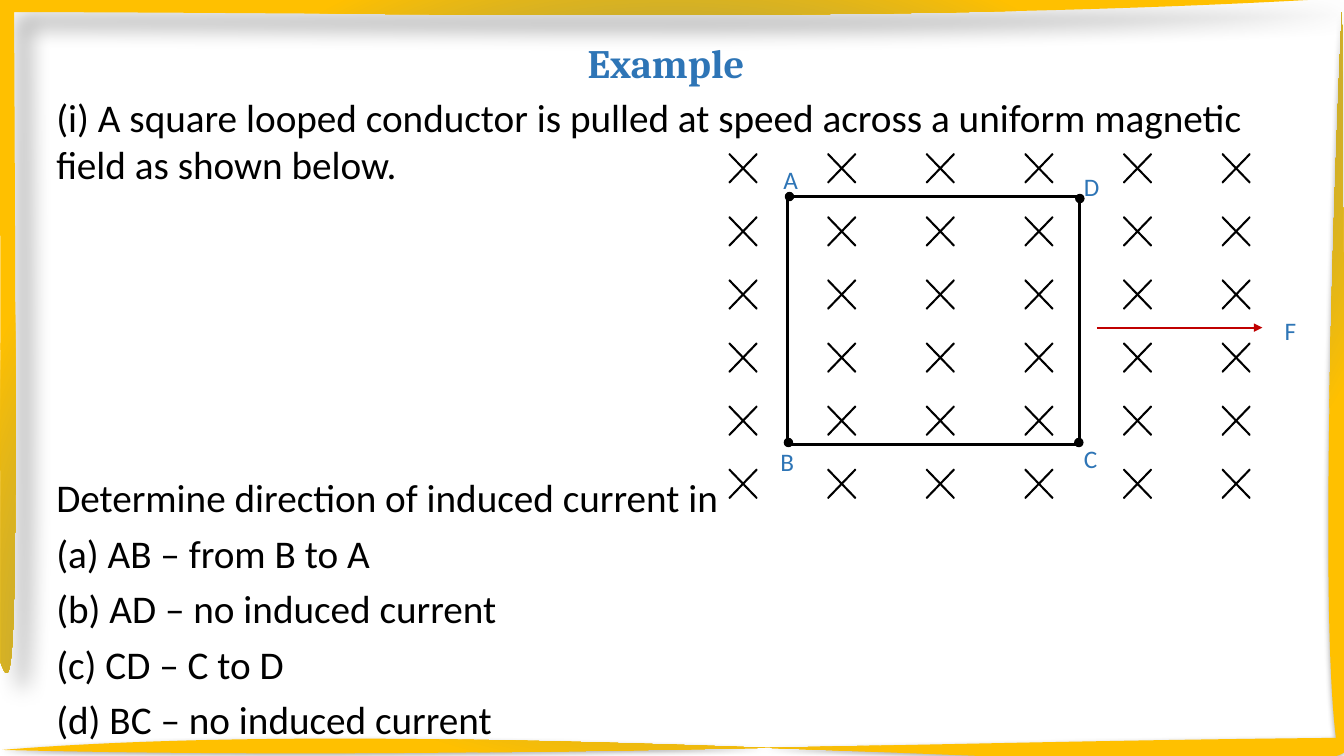
from dataclasses import dataclass
from lxml.etree import SubElement
from pptx import Presentation
from pptx.dml.color import RGBColor
from pptx.enum.shapes import MSO_CONNECTOR as Link, MSO_SHAPE as Preset
from pptx.enum.text import MSO_ANCHOR as Anchor, MSO_AUTO_SIZE as Fit, PP_ALIGN as Align
from pptx.oxml.ns import qn
from pptx.util import Inches, Pt


@dataclass(frozen=True)
class Theme:
    black: str = "000000"
    blue: str = "2E75B6"
    red: str = "C00000"
    frame: tuple = ((0, "A9D18E"), (46, "2E75B6"), (100, "FFC000"))
    heading: str = "Cambria"
    body: str = "Calibri"
    title_size: float = 28.8
    body_size: float = 28
    label_size: float = 18


THEME = Theme()

# Content
TITLE = "Example"
QUESTION = "(i) A square looped conductor is pulled at speed across a uniform magnetic field as shown below."
ANSWERS = [
    "Determine direction of induced current in",
    "(a) AB – from B to A",
    "(b) AD – no induced current",
    "(c) CD – C to D",
    "(d) BC – no induced current",
]
FIGURE_GAP = 5 * 39.6  # five body lines left free beside the figure

# Frame strokes: start point, then line (one point) or curve (three points) steps
FRAME = [
    dict(start=(0.01, 6.58), size=(13.33, 6.7),
         steps=[[(0.16, 7.01), (0.17, 6.24), (0.14, 0.12)],
                [(4.62, 0.13), (9.1, 0.23), (13.33, -0.02)],
                [(0, -0.02)],
                [(0, 2.18), (0.01, 4.38), (0.01, 6.58)]],
         focus=(130, -30), shadow=dict(alpha=30, blur=15, dist=18, angle=45)),
    dict(start=(13.35, 7.44), size=(13.33, 7.45),
         steps=[[(13.21, 7.87), (4.92, 7.04), (0.02, 7.44)],
                [(4.55, 7.55), (8.84, 7.36), (13.25, 7.32)],
                [(13.05, 5.71), (13.31, 0.05), (13.31, 0.12)],
                [(13.31, 0.18), (13.35, 7.38), (13.35, 7.44)]],
         focus=(-80, 180), shadow=dict(alpha=32, blur=3.5, dist=2.2, angle=90)),
]

# Figure: field grid, loop, corners and force
COLUMNS = ROWS = 6
FIELD_FIRST, FIELD_LAST = (7.11, 1.4), (12, 4.53)
CROSS = (0.52, 0.54)
LOOP = (7.81, 1.95, 2.9, 2.46)
DOT = 0.08
DOTS = [(7.78, 4.35), (7.79, 1.91), (10.66, 4.35), (10.67, 1.93)]
LABELS = {"A": (7.77, 1.63), "B": (7.74, 4.43), "C": (10.75, 4.4),
          "D": (10.75, 1.7), "F": (12.74, 3.13)}
FORCE = (10.88, 3.25, 12.52, 3.25)


def add_text(shapes, place, lines, *, size, color, font, bold=False, align=Align.LEFT,
             anchor=Anchor.TOP, inset=None, fit=Fit.NONE, spacing=None, after=0, gaps=None):
    box = shapes.add_textbox(*map(Inches, place))
    frame = box.text_frame
    frame.word_wrap, frame.auto_size, frame.vertical_anchor = True, fit, anchor
    if inset is not None:
        frame.margin_left = frame.margin_right = frame.margin_top = frame.margin_bottom = Inches(inset)
    for index, line in enumerate(lines):
        para = frame.paragraphs[0] if index == 0 else frame.add_paragraph()
        para.alignment, para.line_spacing = align, spacing
        para.space_after = Pt(after)
        para.space_before = Pt((gaps or {}).get(index, 0))
        span = para.add_run()
        span.text = line
        span.font.size, span.font.name, span.font.bold = Pt(size), font, bold
        span.font.color.rgb = RGBColor.from_string(color)


def add_outline(shapes, preset, place, width, fill=None):
    shape = shapes.add_shape(preset, *map(Inches, place))
    shape.shadow.inherit = False
    shape.line.color.rgb = RGBColor.from_string(THEME.black)
    shape.line.width = Pt(width)
    if fill:
        shape.fill.solid()
        shape.fill.fore_color.rgb = RGBColor.from_string(fill)
    else:
        shape.fill.background()
    return shape


def child(parent, tag, **attributes):
    return SubElement(parent, qn(tag), {key: str(value) for key, value in attributes.items()})


def add_frame_stroke(shapes, start, size, steps, focus, shadow):
    builder = shapes.build_freeform(*map(Inches, start))
    builder.add_line_segments([tuple(map(Inches, step[-1])) for step in steps], close=True)
    shape = builder.convert_to_shape()
    shape.line.fill.background()
    shape.shadow.inherit = False
    shape.fill.background()
    properties = shape.element.spPr

    # Turn three-point steps into curves
    outline = next(properties.iter(qn("a:path")))
    for segment, step in zip(outline.findall(qn("a:lnTo")), steps):
        if len(step) == 3:
            curve = child(outline, "a:cubicBezTo")
            for x, y in step:
                child(curve, "a:pt", x=Inches(x) - shape.left, y=Inches(y) - shape.top)
            outline.replace(segment, curve)
    shape.width, shape.height = map(Inches, size)
    outline.set("w", str(shape.width))
    outline.set("h", str(shape.height))

    # Radial gradient
    gradient = child(properties, "a:gradFill", rotWithShape=1)
    properties.replace(properties.find(qn("a:noFill")), gradient)
    stops = child(gradient, "a:gsLst")
    for position, color in THEME.frame:
        child(child(stops, "a:gs", pos=position * 1000), "a:srgbClr", val=color)
    circle = child(gradient, "a:path", path="circle")
    top, bottom = focus
    child(circle, "a:fillToRect", l=50000, t=top * 1000, r=50000, b=bottom * 1000)

    # Soft shadow
    outer = child(properties.find(qn("a:effectLst")), "a:outerShdw", blurRad=Pt(shadow["blur"]),
                  dist=Pt(shadow["dist"]), dir=shadow["angle"] * 60000, algn="tl", rotWithShape=0)
    child(child(outer, "a:srgbClr", val=THEME.black), "a:alpha", val=shadow["alpha"] * 1000)


def add_arrow(shapes, ends, color, width):
    arrow = shapes.add_connector(Link.STRAIGHT, *map(Inches, ends))
    arrow.line.color.rgb = RGBColor.from_string(color)
    arrow.line.width = Pt(width)
    child(arrow.element.spPr.find(qn("a:ln")), "a:tailEnd", type="triangle")
    child(arrow.element.spPr, "a:effectLst")


def add_figure(shapes):
    add_outline(shapes, Preset.RECTANGLE, LOOP, 2)
    pitch_x = (FIELD_LAST[0] - FIELD_FIRST[0]) / (COLUMNS - 1)
    pitch_y = (FIELD_LAST[1] - FIELD_FIRST[1]) / (ROWS - 1)
    for column in range(COLUMNS):
        for row in range(ROWS):
            corner = (FIELD_FIRST[0] + column * pitch_x, FIELD_FIRST[1] + row * pitch_y)
            cross = add_outline(shapes, Preset.MATH_MULTIPLY, (*corner, *CROSS), 1)
            cross.adjustments[0] = 0.013
    for dot in DOTS:
        add_outline(shapes, Preset.OVAL, (*dot, DOT, DOT), 1, fill=THEME.black)
    for label, corner in LABELS.items():
        add_text(shapes, (*corner, 0.31, 0.3), [label], size=THEME.label_size, color=THEME.blue,
                 font=THEME.body, inset=0, fit=Fit.SHAPE_TO_FIT_TEXT)
    add_arrow(shapes, FORCE, THEME.red, 1.5)


def main():
    deck = Presentation()
    deck.slide_width, deck.slide_height = Inches(13.33), Inches(7.5)
    page = deck.slides.add_slide(deck.slide_layouts[6])
    for stroke in FRAME:
        add_frame_stroke(page.shapes, **stroke)
    add_text(page.shapes, (0.73, 0.4, 11.75, 0.5), [TITLE], size=THEME.title_size, color=THEME.blue,
             font=THEME.heading, bold=True, align=Align.CENTER, anchor=Anchor.MIDDLE, spacing=0.9)
    add_text(page.shapes, (0.46, 0.88, 12.58, 6.36), [QUESTION, *ANSWERS], size=THEME.body_size,
             color=THEME.black, font=THEME.body, after=6, gaps={1: FIGURE_GAP})
    add_figure(page.shapes.add_group_shape().shapes)
    deck.save("out.pptx")


if __name__ == "__main__":
    main()
